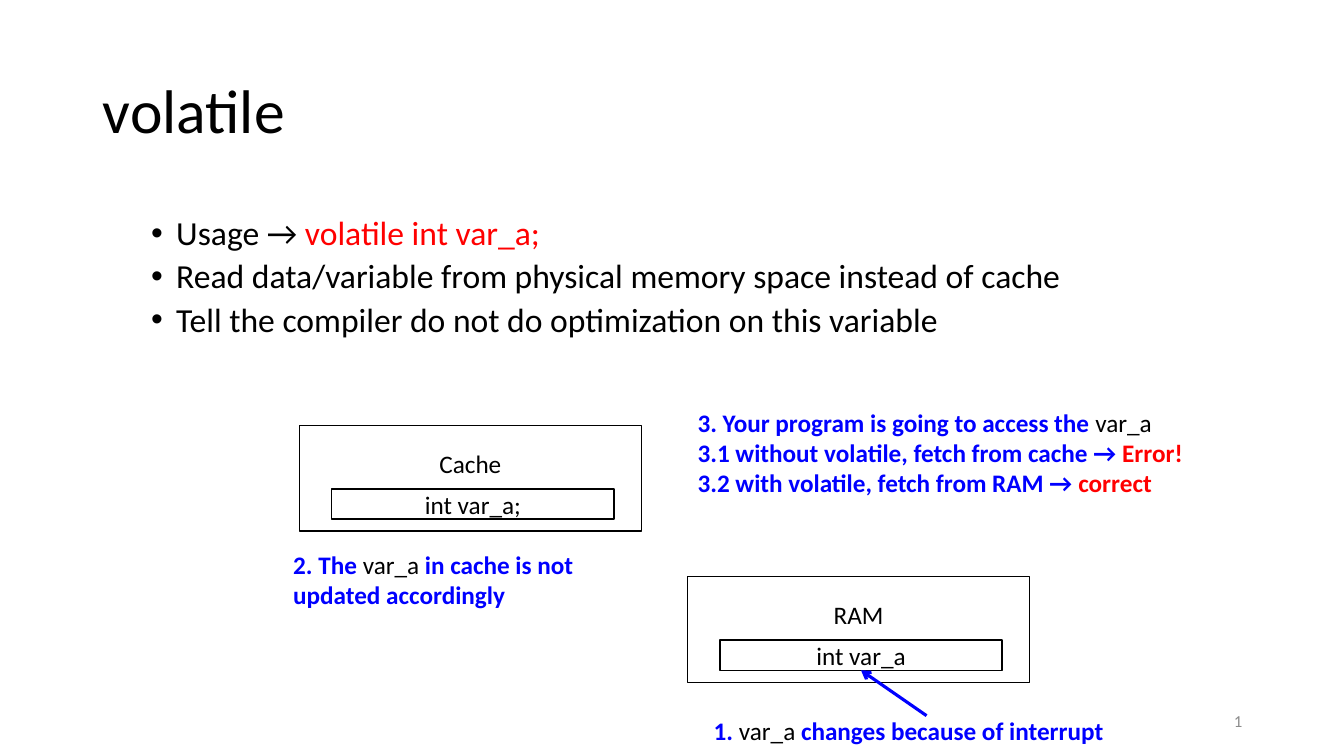
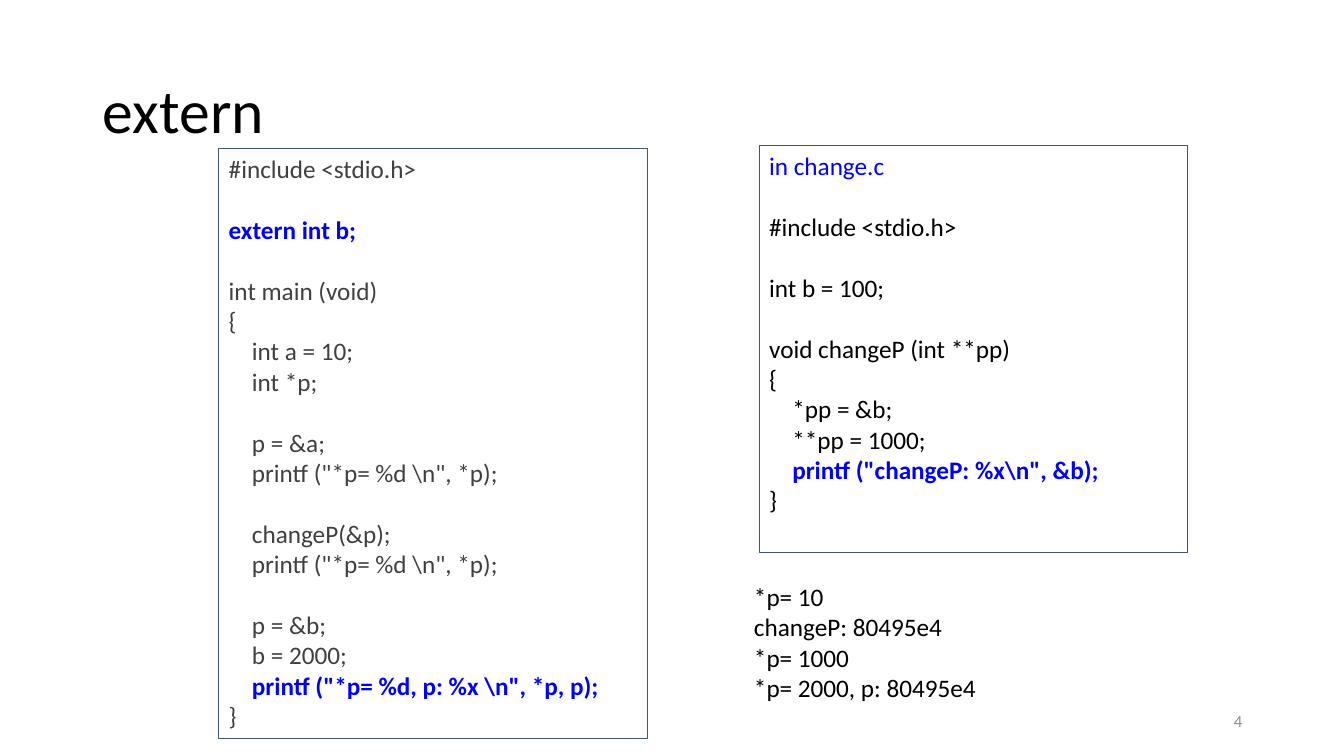
from lxml import etree
from pptx import Presentation
from pptx.dml.color import RGBColor
from pptx.enum.shapes import MSO_CONNECTOR, MSO_SHAPE
from pptx.enum.text import MSO_ANCHOR, MSO_AUTO_SIZE, PP_ALIGN
from pptx.oxml.ns import qn
from pptx.util import Inches, Pt

LEFT, CENTER, RIGHT = PP_ALIGN.LEFT, PP_ALIGN.CENTER, PP_ALIGN.RIGHT
TOP, MIDDLE = MSO_ANCHOR.TOP, MSO_ANCHOR.MIDDLE
RECTANGLE, STRAIGHT = MSO_SHAPE.RECTANGLE, MSO_CONNECTOR.STRAIGHT
NO_AUTOFIT = MSO_AUTO_SIZE.NONE
BOTTOM_SIDE = 2

FONT = "Calibri"
TITLE_ONLY = 5
COLORS = {
    "text": "000000",
    "code": "404040",
    "blue": "0000FF",
    "red": "FF0000",
    "number": "8C8C8C",
    "frame": "44546A",
    "paper": "FFFFFF",
}

PLAIN = ("text", False)
RED = ("red", False)
BLUE_BOLD = ("blue", True)
RED_BOLD = ("red", True)

USAGE = [
    [("Usage → ", PLAIN), ("volatile int var_a;", RED)],
    [("Read data/variable from physical memory space instead of cache", PLAIN)],
    [("Tell the compiler do not do optimization on this variable", PLAIN)],
]
INTERRUPT_NOTE = [
    [("1. ", BLUE_BOLD), ("var_a", PLAIN), (" changes because of interrupt", BLUE_BOLD)],
]
CACHE_NOTE = [
    [("2. The ", BLUE_BOLD), ("var_a", PLAIN),
     (" in cache is not updated accordingly", BLUE_BOLD)],
]
ACCESS_NOTE = [
    [("3. Your program is going to access the ", BLUE_BOLD), ("var_a", PLAIN)],
    [("3.1 without volatile, fetch from cache → ", BLUE_BOLD), ("Error!", RED_BOLD)],
    [("3.2 with volatile, fetch from RAM → ", BLUE_BOLD), ("correct", RED_BOLD)],
]

MAIN_CODE = r"""#include <stdio.h>

extern int b;

int main (void)
{
    int a = 10;
    int *p;

    p = &a;
    printf ("*p= %d \n", *p);

    changeP(&p);
    printf ("*p= %d \n", *p);

    p = &b;
    b = 2000;
    printf ("*p= %d, p: %x \n", *p, p);
}"""
CHANGE_CODE = r"""in change.c

#include <stdio.h>

int b = 100;

void changeP (int **pp)
{
    *pp = &b;
    **pp = 1000;
    printf ("changeP: %x\n", &b);
}"""
OUTPUT = """*p= 10
changeP: 80495e4
*p= 1000
*p= 2000, p: 80495e4"""
HIGHLIGHTS = {
    "in change.c": ("blue", False),
    "extern int b;": BLUE_BOLD,
    r'printf ("*p= %d, p: %x \n", *p, p);': BLUE_BOLD,
    r'printf ("changeP: %x\n", &b);': BLUE_BOLD,
}


def rgb(name):
    return RGBColor.from_string(COLORS[name])


def style(font, color, bold=False):
    font.color.rgb = rgb(color)
    font.bold = bold


def set_font(paragraph, size, color=None, bold=False):
    paragraph.font.name = FONT
    paragraph.font.size = Pt(size)
    if color:
        style(paragraph.font, color, bold)


def indent(paragraph, margin, first=0):
    properties = paragraph._p.get_or_add_pPr()
    properties.set("marL", str(Inches(margin)))
    properties.set("indent", str(Inches(first)))
    return properties


def paragraphs(frame, count):
    return [frame.paragraphs[0]] + [frame.add_paragraph() for _ in range(count - 1)]


def add_text_box(slide, left, top, width, height):
    box = slide.shapes.add_textbox(Inches(left), Inches(top), Inches(width), Inches(height))
    box.text_frame.word_wrap = True
    return box.text_frame


def add_frame(slide, left, top, width, height, line, weight, fill=None):
    frame = slide.shapes.add_shape(
        RECTANGLE, Inches(left), Inches(top), Inches(width), Inches(height))
    frame.shadow.inherit = False
    if fill:
        frame.fill.solid()
        frame.fill.fore_color.rgb = rgb(fill)
    else:
        frame.fill.background()
    frame.line.color.rgb = rgb(line)
    frame.line.width = Pt(weight)
    frame.text_frame.word_wrap = True
    return frame


def add_titled_slide(deck, heading, number):
    slide = deck.slides.add_slide(deck.slide_layouts[TITLE_ONLY])
    title = slide.shapes.title
    title.left, title.top = Inches(0.92), Inches(0.4)
    title.width, title.height = Inches(11.5), Inches(1.45)
    title.text_frame.text = heading
    title.text_frame.auto_size = NO_AUTOFIT
    title.text_frame.vertical_anchor = MIDDLE
    line = title.text_frame.paragraphs[0]
    line.alignment = LEFT
    line.line_spacing = 0.9
    set_font(line, 44, "text")

    footer = add_text_box(slide, 9.42, 6.95, 3, 0.4)
    footer.vertical_anchor = MIDDLE
    footer.text = number
    footer.paragraphs[0].alignment = RIGHT
    set_font(footer.paragraphs[0], 12, "number")
    return slide


def add_rich_text(slide, left, top, width, height, lines, size=18):
    frame = add_text_box(slide, left, top, width, height)
    for paragraph, pieces in zip(paragraphs(frame, len(lines)), lines):
        set_font(paragraph, size)
        for text, (color, bold) in pieces:
            run = paragraph.add_run()
            run.text = text
            style(run.font, color, bold)
    return frame


def add_bullets(slide, left, top, width, height, lines):
    frame = add_rich_text(slide, left, top, width, height, lines, 24)
    for index, paragraph in enumerate(frame.paragraphs):
        paragraph.line_spacing = 0.9
        paragraph.space_before = Pt(5 if index else 0)
        properties = indent(paragraph, 0.75, -0.25)
        bullet_font = etree.Element(qn("a:buFont"), typeface="Arial")
        bullet = etree.Element(qn("a:buChar"), char="•")
        defaults = properties.find(qn("a:defRPr"))
        defaults.addprevious(bullet_font)
        defaults.addprevious(bullet)


def add_memory(slide, left, top, label, variable):
    memory = add_frame(slide, left, top, 3.39, 1.05, "text", 1)
    memory.text_frame.margin_bottom = Inches(0.35)
    cell = add_frame(slide, left + 0.32, top + 0.63, 2.8, 0.3, "text", 1)
    for part, text in ((memory, label), (cell, variable)):
        part.text_frame.text = text
        part.text_frame.vertical_anchor = MIDDLE
        part.text_frame.paragraphs[0].alignment = CENTER
        set_font(part.text_frame.paragraphs[0], 18, "text")
    return cell


def add_arrow_to(slide, left, top, target):
    arrow = slide.shapes.add_connector(
        STRAIGHT, Inches(left), Inches(top), Inches(left), Inches(top))
    arrow.end_connect(target, BOTTOM_SIDE)
    arrow.line.color.rgb = rgb("blue")
    arrow.line.width = Pt(2.25)
    etree.SubElement(arrow.line._get_or_add_ln(), qn("a:tailEnd"), type="arrow")
    etree.SubElement(arrow._element.spPr, qn("a:effectLst"))


def write_code(frame, code, color):
    frame.vertical_anchor = TOP
    rows = code.split("\n")
    texts = [row for row in rows if row]
    gaps = [index > 0 and not rows[index - 1] for index, row in enumerate(rows) if row]
    for paragraph, row, gap in zip(paragraphs(frame, len(texts)), texts, gaps):
        text = row.strip()
        paragraph.text = text
        paragraph.alignment = LEFT
        paragraph.space_before = Pt(22 if gap else 0)
        if row != text:
            indent(paragraph, 0.23)
        set_font(paragraph, 18, *HIGHLIGHTS.get(text, (color, False)))


def add_code_box(slide, left, top, height, code, color, fill=None):
    listing = add_frame(slide, left, top, 4.25, height, "frame", 0.75, fill)
    write_code(listing.text_frame, code, color)


def build_volatile(deck):
    slide = add_titled_slide(deck, "volatile", "1")
    add_bullets(slide, 0.9, 2.1, 10.96, 1.46, USAGE)
    add_memory(slide, 2.97, 4.22, "Cache", "int var_a;")
    ram_cell = add_memory(slide, 6.82, 5.72, "RAM", "int var_a")
    add_rich_text(slide, 6.98, 7.05, 4.33, 0.4, INTERRUPT_NOTE)
    add_arrow_to(slide, 9.19, 7.1, ram_cell)
    add_rich_text(slide, 2.81, 5.4, 3.86, 0.71, CACHE_NOTE)
    add_rich_text(slide, 6.82, 3.99, 5.28, 1.01, ACCESS_NOTE)


def build_extern(deck):
    slide = add_titled_slide(deck, "extern", "4")
    add_code_box(slide, 7.53, 1.44, 4.04, CHANGE_CODE, "text")
    add_code_box(slide, 2.17, 1.47, 5.86, MAIN_CODE, "code", "paper")
    write_code(add_text_box(slide, 7.38, 5.72, 2.83, 1.31), OUTPUT, "text")


def main():
    deck = Presentation()
    deck.slide_width, deck.slide_height = Inches(13.33), Inches(7.5)
    build_volatile(deck)
    build_extern(deck)
    deck.save("out.pptx")


if __name__ == "__main__":
    main()
